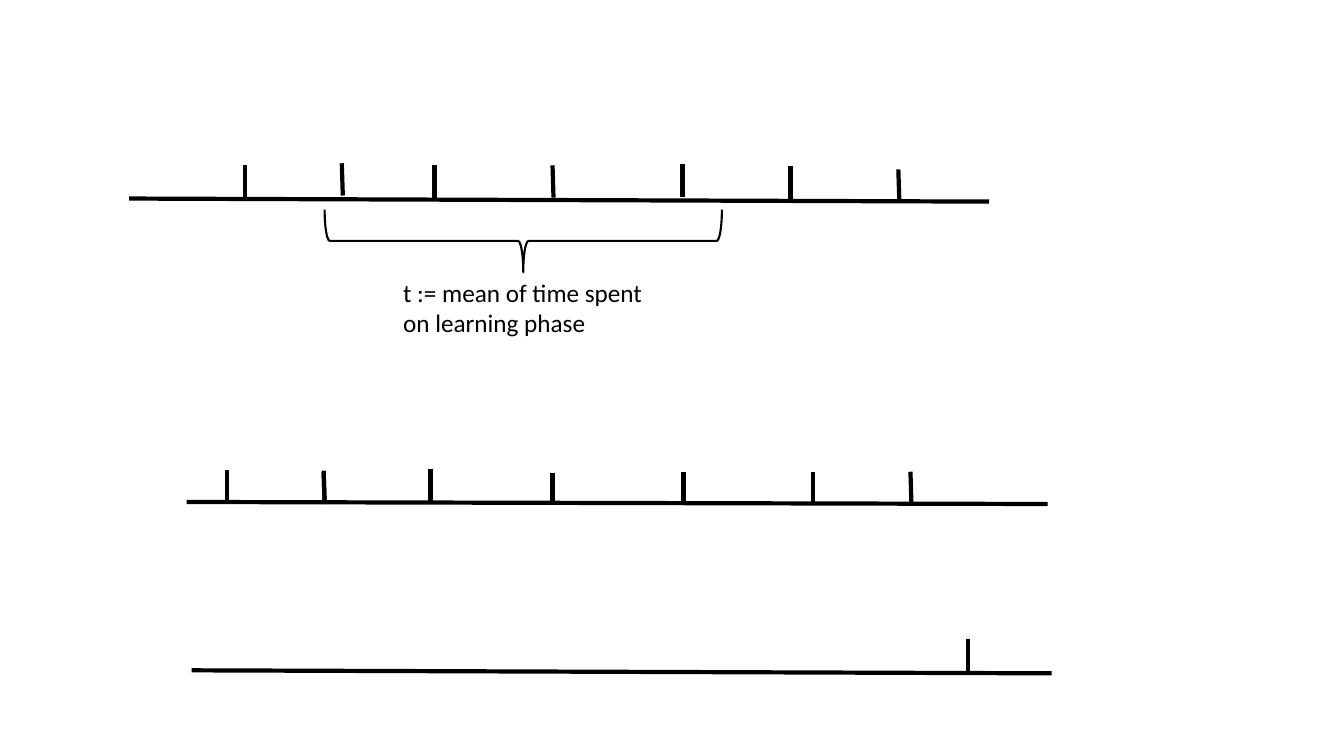
"""Build a slide of three timelines with a braced learning phase."""
from lxml import etree
from pptx import Presentation
from pptx import util as u
from pptx.dml.color import RGBColor
from pptx.enum import shapes, text
from pptx.oxml.ns import qn

PX = 9144
COLORS = {"ink": "000000", "paper": "FFFFFF"}
TICK_HEIGHT = 32

TIMELINES = [
    {"axis": (128, 197, 981, 200),
     "ticks": [(243, 164, 0), (339, 162, 1), (431, 164, 0), (548, 164, 1),
               (677, 163, 0), (784, 165, 0), (891, 168, 1)]},
    {"axis": (185, 498, 1039, 500),
     "ticks": [(225, 466, 0), (321, 468, 1), (321, 467, 1), (427, 465, 0),
               (427, 467, 0), (548, 469, 0), (678, 468, 0), (806, 468, 0),
               (903, 468, 1)]},
    {"axis": (190, 665, 1043, 668),
     "ticks": [(960, 634, 0)]},
]


def px(length):
    """Turn px into EMU."""
    return u.Emu(length * PX)


def rgb(name):
    """Look up a named colour."""
    return RGBColor.from_string(COLORS[name])


def add_stroke(slide, start_x, start_y, end_x, end_y, width=3):
    """Draw a straight line without a shadow."""
    stroke = slide.shapes.add_connector(
        shapes.MSO_CONNECTOR.STRAIGHT,
        px(start_x), px(start_y), px(end_x), px(end_y))
    stroke.line.color.rgb = rgb("ink")
    stroke.line.width = u.Pt(width)
    etree.SubElement(stroke._element.spPr, qn("a:effectLst"))


def add_timeline(slide, axis, ticks):
    """Draw an axis and the ticks standing on it."""
    add_stroke(slide, *axis)
    for x, top, lean in ticks:
        add_stroke(slide, x, top, x + lean, top + TICK_HEIGHT)


def add_brace(slide, left, top, width, height):
    """Draw a brace that opens upwards."""
    brace = slide.shapes.add_shape(
        shapes.MSO_SHAPE.LEFT_BRACE,
        px(left), px(top), px(width), px(height))
    brace.rotation = 270
    brace.shadow.inherit = False
    brace.fill.background()
    brace.line.color.rgb = rgb("ink")
    brace.line.width = u.Pt(1.5)


def add_label(slide, wording, *, left, top, width, height,
              size=18, color="ink", font="Calibri"):
    """Add a wrapped text box in one format."""
    label = slide.shapes.add_textbox(px(left), px(top), px(width), px(height))
    frame = label.text_frame
    frame.word_wrap = True
    frame.auto_size = text.MSO_AUTO_SIZE.SHAPE_TO_FIT_TEXT
    run = frame.paragraphs[0].add_run()
    run.text = wording
    run.font.size = u.Pt(size)
    run.font.name = font
    run.font.color.rgb = rgb(color)


def main():
    """Assemble and save the slide."""
    deck = Presentation()
    deck.slide_width, deck.slide_height = px(1333), px(750)
    slide = deck.slides.add_slide(deck.slide_layouts[6])
    slide.background.fill.solid()
    slide.background.fill.fore_color.rgb = rgb("paper")

    for timeline in TIMELINES:
        add_timeline(slide, **timeline)
    add_brace(slide, 488, 42, 62, 394)
    add_label(slide, "t := mean of time spent on learning phase",
              left=390, top=270, width=286, height=71)
    deck.save("out.pptx")


if __name__ == "__main__":
    main()
